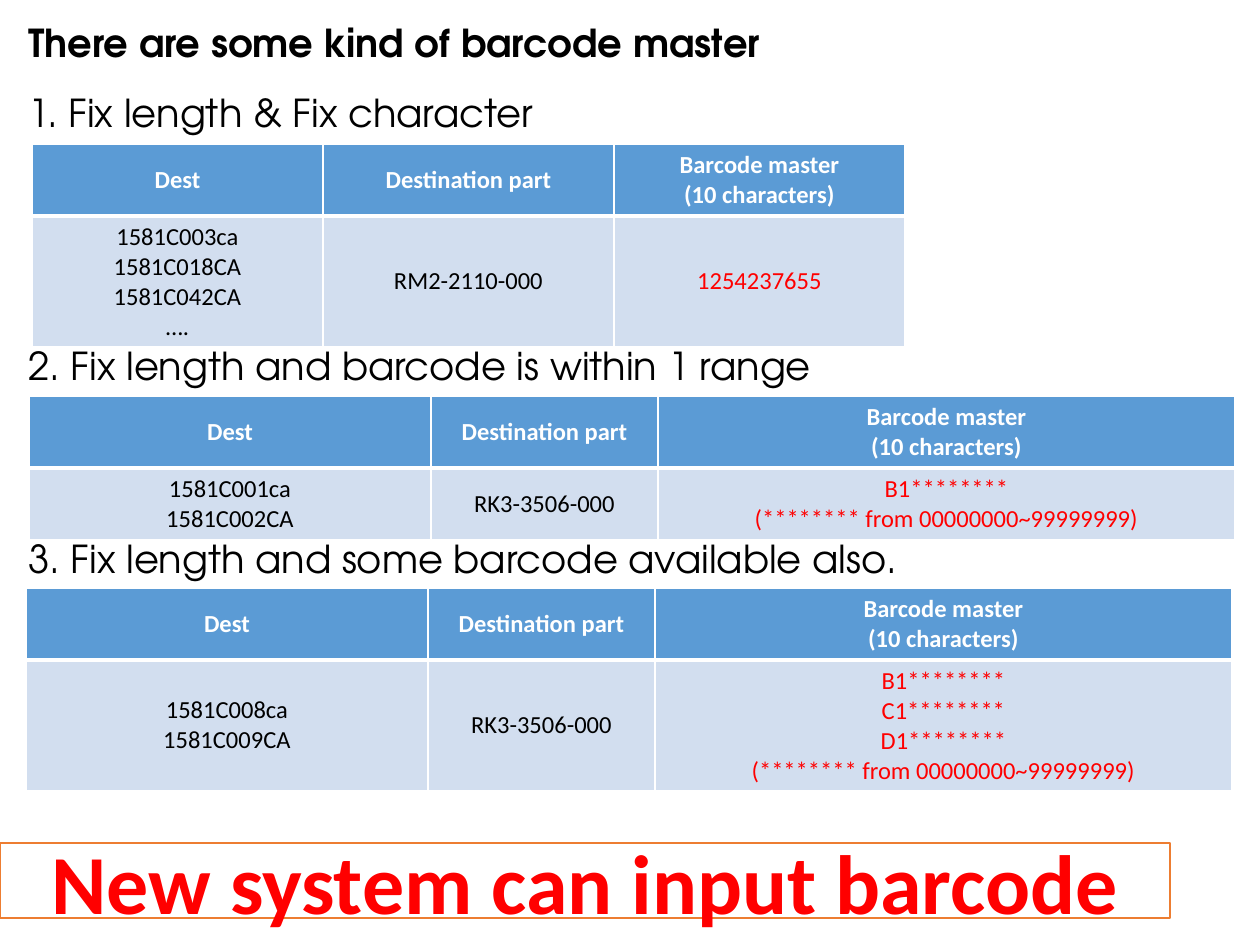
from lxml import etree
from pptx import Presentation
from pptx import util as u
from pptx.dml.color import RGBColor
from pptx.enum import shapes, text
from pptx.oxml.ns import qn

PX_PER_INCH = 126
HEADING_FONT = "TeX Gyre Adventor"
BODY_FONT = "Calibri"
BLACK = RGBColor(0x00, 0x00, 0x00)
WHITE = RGBColor(0xFF, 0xFF, 0xFF)
RED = RGBColor(0xFF, 0x00, 0x00)
BLUE = RGBColor(0x5B, 0x9B, 0xD5)
PALE_BLUE = RGBColor(0xD2, 0xDE, 0xEF)
ORANGE = RGBColor(0xED, 0x7D, 0x31)

HEADER = ("Dest", "Destination part", "Barcode master\n(10 characters)")
HEADER_HEIGHT = 72
EVEN_COLUMNS = (291, 291, 291)
WIDE_COLUMNS = (402, 227, 577)
RANGE_NOTE = "(******** from 00000000~99999999)"

SECTIONS = (
    ("1. Fix length & Fix character", (16, 83, 638), (32, 144),
     EVEN_COLUMNS, 131,
     ("1581C003ca\n1581C018CA\n1581C042CA\n….", "RM2-2110-000", "1254237655")),
    ("2. Fix length and barcode is within 1 range", (16, 336, 1018), (29, 396),
     WIDE_COLUMNS, 72,
     ("1581C001ca\n1581C002CA", "RK3-3506-000", "B1********\n" + RANGE_NOTE)),
    ("3. Fix length and some barcode available also.", (16, 529, 1018), (26, 588),
     WIDE_COLUMNS, 131,
     ("1581C008ca\n1581C009CA", "RK3-3506-000",
      "B1********\nC1********\nD1********\n" + RANGE_NOTE)),
)


def px(length):
    return u.Emu(round(length * 914400 / PX_PER_INCH))


def write(frame, content, font, size, color, bold=False, align=text.PP_ALIGN.LEFT):
    frame.text = content
    for paragraph in frame.paragraphs:
        paragraph.alignment = align
        for run in paragraph.runs:
            run.font.name = font
            run.font.size = u.Pt(size)
            run.font.bold = bold
            run.font.color.rgb = color


def add_heading(slide, content, place, bold=False):
    left, top, width = place
    heading = slide.shapes.add_textbox(px(left), px(top), px(width), px(59))
    frame = heading.text_frame
    frame.word_wrap = True
    frame.auto_size = text.MSO_AUTO_SIZE.SHAPE_TO_FIT_TEXT
    write(frame, content, HEADING_FONT, 22, BLACK, bold)


def set_borders(cell, bottom):
    properties = cell._tc.get_or_add_tcPr()
    widths = {"a:lnL": 1, "a:lnR": 1, "a:lnT": 1, "a:lnB": bottom}
    for position, (tag, width) in enumerate(widths.items()):
        line = etree.Element(qn(tag), w=str(u.Pt(width)))
        fill = etree.SubElement(line, qn("a:solidFill"))
        etree.SubElement(fill, qn("a:srgbClr"), val=str(WHITE))
        properties.insert(position, line)


def fill_cell(cell, content, fill, color, bold, bottom):
    cell.fill.solid()
    cell.fill.fore_color.rgb = fill
    cell.vertical_anchor = text.MSO_ANCHOR.MIDDLE
    write(cell.text_frame, content, BODY_FONT, 14, color, bold, text.PP_ALIGN.CENTER)
    set_borders(cell, bottom)


def add_barcode_table(slide, corner, columns, body_height, entries):
    left, top = corner
    table = slide.shapes.add_table(
        2, len(columns), px(left), px(top),
        px(sum(columns)), px(HEADER_HEIGHT + body_height)).table
    table.rows[0].height = px(HEADER_HEIGHT)
    table.rows[1].height = px(body_height)
    for index, width in enumerate(columns):
        table.columns[index].width = px(width)
        entry_color = RED if index == len(columns) - 1 else BLACK
        fill_cell(table.cell(0, index), HEADER[index], BLUE, WHITE, True, 3)
        fill_cell(table.cell(1, index), entries[index], PALE_BLUE, entry_color, False, 1)


def add_banner(slide, content):
    banner = slide.shapes.add_shape(
        shapes.MSO_SHAPE.RECTANGLE, px(0), px(843), px(1170), px(75))
    banner.shadow.inherit = False
    banner.fill.solid()
    banner.fill.fore_color.rgb = WHITE
    banner.line.color.rgb = ORANGE
    banner.line.width = u.Pt(1)
    frame = banner.text_frame
    frame.word_wrap = True
    frame.vertical_anchor = text.MSO_ANCHOR.MIDDLE
    write(frame, content, BODY_FONT, 48, RED, True, text.PP_ALIGN.CENTER)


def main():
    deck = Presentation()
    deck.slide_width = px(1260)
    deck.slide_height = px(945)
    slide = deck.slides.add_slide(deck.slide_layouts[6])
    add_heading(slide, "There are some kind of barcode master", (16, 13, 764), bold=True)
    for heading, place, corner, columns, body_height, entries in SECTIONS:
        add_heading(slide, heading, place)
        add_barcode_table(slide, corner, columns, body_height, entries)
    add_banner(slide, "New system can input barcode")
    deck.save("out.pptx")


if __name__ == "__main__":
    main()
